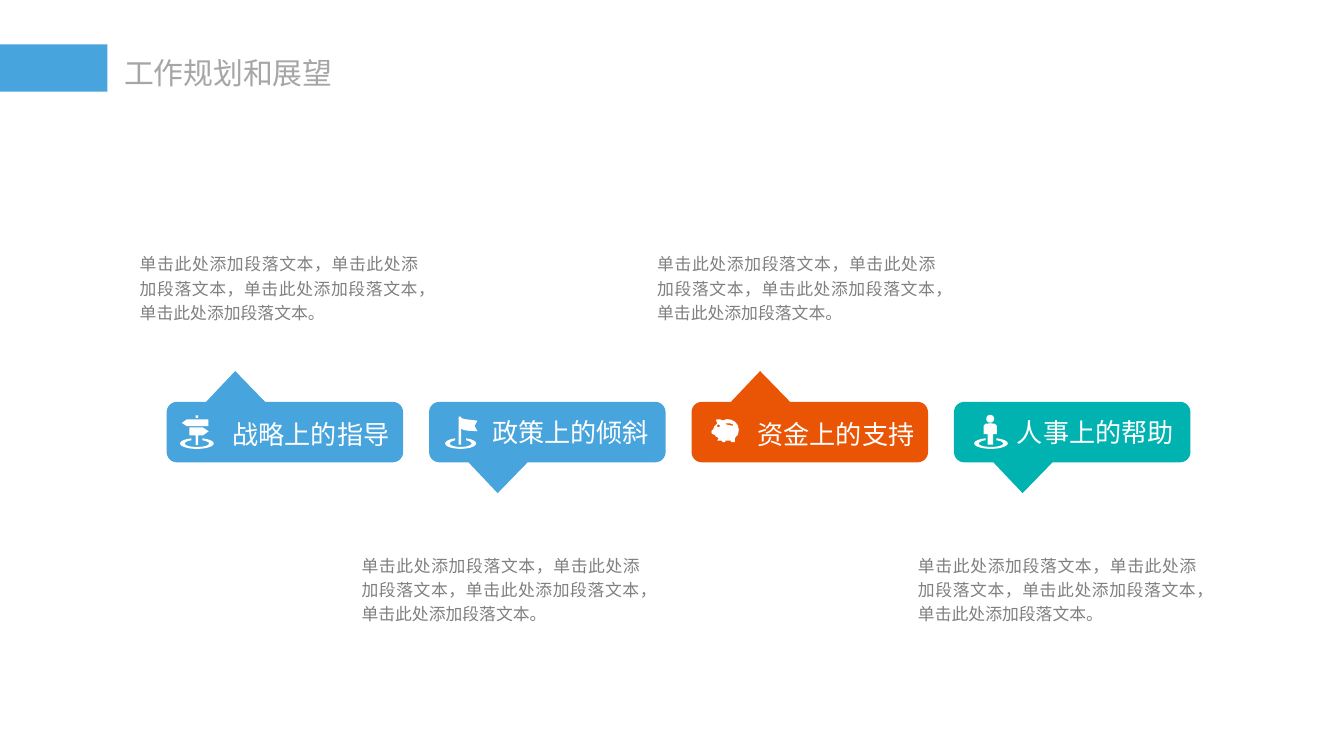
import math

import pptx
import pptx.dml.color
import pptx.enum.shapes
import pptx.enum.text
import pptx.oxml.ns
import pptx.util
from lxml import etree

Pt = pptx.util.Pt
ALIGN = pptx.enum.text.PP_ALIGN
ANCHOR = pptx.enum.text.MSO_ANCHOR
SHAPE = pptx.enum.shapes.MSO_SHAPE
CJK_FONT = "Noto Sans CJK SC"
NOTE = "单击此处添加段落文本，" * 3 + "单击此处添加段落文本。"


def color(value):
    return pptx.dml.color.RGBColor.from_string(value)


def fill_plain(shape, value):
    shape.shadow.inherit = False
    shape.fill.solid()
    shape.fill.fore_color.rgb = color(value)
    shape.line.fill.background()


def write_text(shape, text, *, size, font_color, font=CJK_FONT, align=ALIGN.LEFT,
               anchor=ANCHOR.TOP, insets=(7.2, 3.6, 7.2, 3.6), wrap=True,
               line_spacing=None, space_after=0):
    frame = shape.text_frame
    frame.auto_size = pptx.enum.text.MSO_AUTO_SIZE.NONE
    frame.word_wrap = wrap
    frame.vertical_anchor = anchor
    (frame.margin_left, frame.margin_top,
     frame.margin_right, frame.margin_bottom) = map(Pt, insets)
    paragraph = frame.paragraphs[0]
    paragraph.alignment = align
    paragraph.line_spacing = line_spacing
    paragraph.space_after = Pt(space_after)
    run = paragraph.add_run()
    run.text = text
    run.font.size = Pt(size)
    run.font.name = font
    run.font.color.rgb = color(font_color)
    east_asian = etree.SubElement(run.font._element, pptx.oxml.ns.qn("a:ea"))
    east_asian.set("typeface", CJK_FONT)


def arc(x, y, radius_x, radius_y, start=0, end=2 * math.pi, steps=32):
    """Points clockwise along an ellipse; angle 0 is its top."""
    angles = [start + (end - start) * i / steps for i in range(steps + 1)]
    return [(x + radius_x * math.sin(a), y - radius_y * math.cos(a)) for a in angles]


def ground_ring(x, y, radius_x, gap=2.9):
    """Flat ring that is open at the back, where the object stands."""
    points = []
    for rx, ry, reverse in ((radius_x, 2.9, False), (radius_x - 2.5, 1.9, True)):
        opening = math.asin(gap / rx)
        side = arc(x, y, rx, ry, opening, 2 * math.pi - opening)
        points += side[::-1] if reverse else side
    return points


def bar(left, top, right, bottom):
    return [(left, top), (right, top), (right, bottom), (left, bottom)]


SIGNPOST = [
    ground_ring(9, 15.1, 9),
    bar(8.3, 10.8, 9.7, 15.8),
    [(5, 6.5), (12.2, 6.5), (15.3, 8.6), (12.2, 10.8), (5, 10.8)],
    [(0.9, 4.1), (3.6, 2.2), (15.1, 2.2), (15.1, 5.8), (3.6, 5.8)],
    bar(8.3, 0, 9.7, 1.4),
]
FLAG = [
    ground_ring(8.3, 14.4, 8.3),
    bar(7.2, 0, 8.6, 15.1),
    [(8.6, 0.7), (10, 1.3), (12.2, 1.6), (17.3, 2.2), (15.8, 5), (17.3, 7.9),
     (12.2, 7.6), (10, 7.2), (8.6, 6.5)],
]
PIGGY_BANK = [
    [(13, 10.8), (13, 13), (10.8, 13), (10.8, 12.2), (7.9, 12.2), (7.9, 13),
     (6.5, 13), (5.8, 12.2), (3.6, 12.2), (4.3, 10.8), (2.9, 10.1), (2, 9),
     (0.7, 8.6), (0.4, 7.6), (0.7, 6.5), (1.4, 6.3), (2, 4.5), (3.6, 2.9),
     (2.9, 1.4), (3.2, 0.8), (5, 0.8), (6.5, 1.4), (8.6, 0.7), (11, 1),
     (13.2, 2.2), (14.6, 4), (15.1, 6.5), (14.6, 9)],
    arc(4.2, 4.3, 0.75, 0.75),
    [(7.9, 3.2), (8.6, 2.9), (10.5, 3), (12.2, 3.6), (12, 4.2), (10.5, 4), (8.6, 3.6)],
]
PERSON = [
    ground_ring(9, 15.1, 9),
    [(5, 10.1), (5, 5.8), (6, 4.6), (8.6, 4.3), (11.2, 4.6), (12.2, 5.8),
     (12.2, 10.1), (10.1, 10.1), (10.1, 15.8), (7.2, 15.8), (7.2, 10.1)],
    arc(8.6, 1.9, 2.1, 2.1),
]


def add_icon(slide, left, top, contours):
    builder = None
    for contour in contours:
        points = [(Pt(left + x), Pt(top + y)) for x, y in contour]
        if builder is None:
            builder = slide.shapes.build_freeform(*points[0], scale=1.0)
        else:
            builder.move_to(*points[0])
        builder.add_line_segments(points[1:], close=True)
    fill_plain(builder.convert_to_shape(), "FFFFFF")


def add_header(slide, left, top, width, height):
    band = slide.shapes.add_shape(SHAPE.RECTANGLE, Pt(left), Pt(top), Pt(width), Pt(height))
    fill_plain(band, "47A4DC")
    title = slide.shapes.title
    title.left, title.top = Pt(left + width + 2.9), Pt(top + 2.8)
    title.width, title.height = Pt(123.8), Pt(25.2)
    write_text(title, "工作规划和展望", size=16, font_color="A6A6A6",
               align=ALIGN.CENTER, insets=(5.8, 2.9, 5.8, 2.9), wrap=False)


def add_note(slide, left, top, width, height):
    note = slide.shapes.add_textbox(Pt(left), Pt(top), Pt(width), Pt(height))
    write_text(note, NOTE, size=9, font_color="808080", align=ALIGN.JUSTIFY,
               anchor=ANCHOR.MIDDLE, insets=(3.6,) * 4, line_spacing=1.2, space_after=6)


def add_callout(slide, left, top, width, height, label, fill, points_up, icon, icon_offset):
    callout = slide.shapes.add_shape(SHAPE.ROUNDED_RECTANGULAR_CALLOUT,
                                     Pt(left), Pt(top), Pt(width), Pt(height))
    callout.adjustments[0] = -0.21
    callout.adjustments[1] = -1.01 if points_up else 1.01
    callout.adjustments[2] = 0.17
    fill_plain(callout, fill)
    insets = (5.6, 5.6, 5.6, 3.6) if points_up else (7.2, 3.6, 7.2, 3.6)
    write_text(callout, label, size=14, font_color="FFFFFF", font="Arial",
               align=ALIGN.RIGHT, anchor=ANCHOR.MIDDLE, insets=insets)
    add_icon(slide, left + icon_offset[0], top + icon_offset[1], icon)


def main():
    presentation = pptx.Presentation()
    presentation.slide_width, presentation.slide_height = Pt(720), Pt(405)
    slide = presentation.slides.add_slide(presentation.slide_layouts[5])
    add_header(slide, 0, 23.8, 57.6, 25.4)

    topics = [
        ("战略上的指导", "47A4DC", SIGNPOST, (7.2, 7.2), 71.3),
        ("政策上的倾斜", "47A4DC", FLAG, (8.6, 7.9), 190.1),
        ("资金上的支持", "E95504", PIGGY_BANK, (10.2, 8.6), 348.5),
        ("人事上的帮助", "00B3B0", PERSON, (10.8, 7.2), 488.2),
    ]
    for index, (label, fill, icon, icon_offset, note_left) in enumerate(topics):
        points_up = index % 2 == 0
        note_top, note_height = (110.9, 85) if points_up else (270, 90)
        add_note(slide, note_left, note_top, 156.2, note_height)
        add_callout(slide, 89.3 + 140.6 * index, 215.3, 126.7, 32.4,
                    label, fill, points_up, icon, icon_offset)
    presentation.save("out.pptx")


if __name__ == "__main__":
    main()
